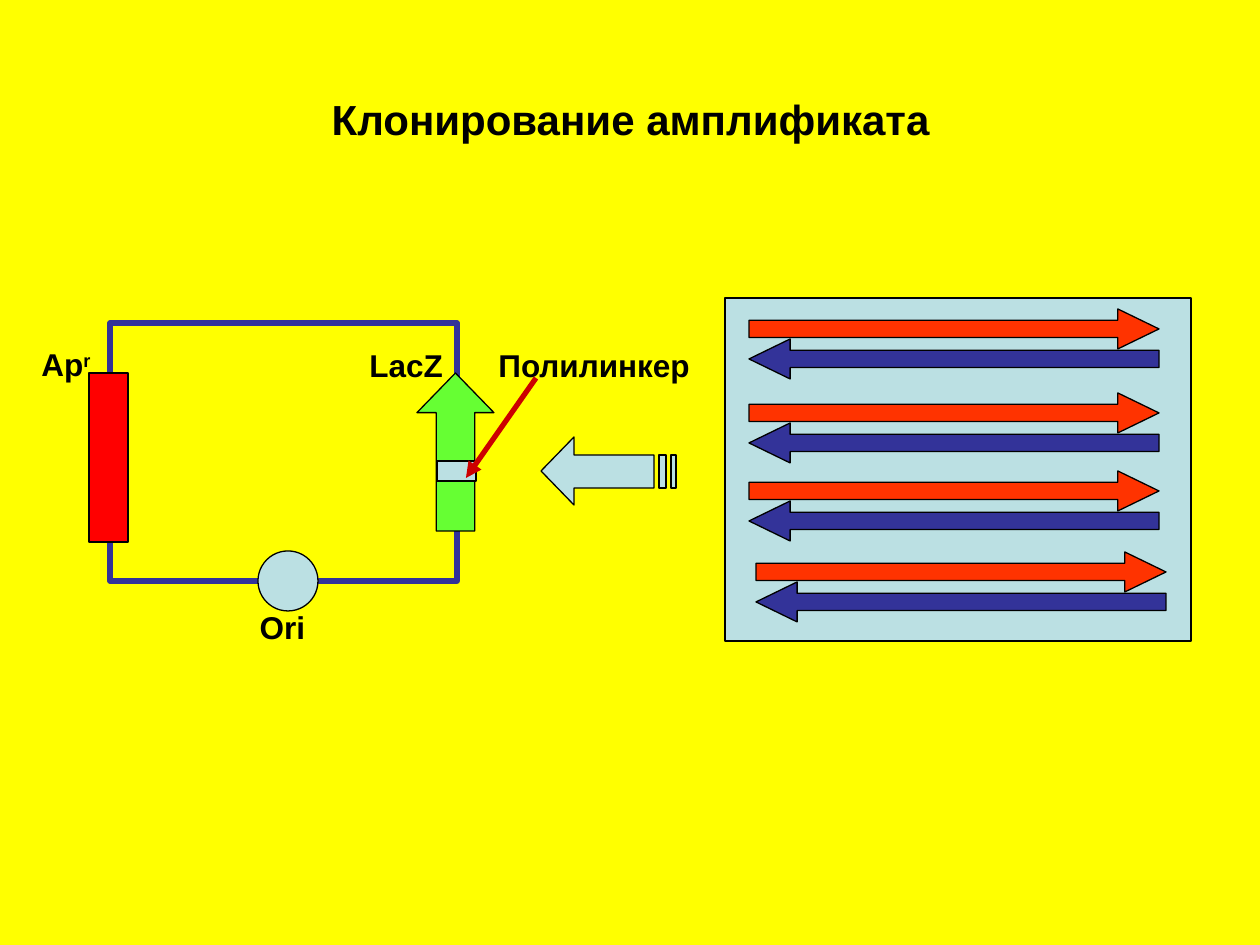
from typing import NamedTuple

from lxml.etree import SubElement
from pptx import Presentation
from pptx.dml.color import RGBColor
from pptx.enum.shapes import MSO_CONNECTOR, MSO_SHAPE as Shape
from pptx.enum.text import PP_ALIGN as Align
from pptx.oxml.ns import qn
from pptx.util import Pt

PX = 914400 / 126

YELLOW = RGBColor(0xFF, 0xFF, 0x00)
BLACK = RGBColor(0x00, 0x00, 0x00)
PALE_BLUE = RGBColor(0xBB, 0xE0, 0xE3)
NAVY = RGBColor(0x33, 0x33, 0x99)
ORANGE = RGBColor(0xFF, 0x33, 0x00)
RED = RGBColor(0xFF, 0x00, 0x00)
GREEN = RGBColor(0x66, 0xFF, 0x33)
DARK_RED = RGBColor(0xCC, 0x00, 0x00)


class Box(NamedTuple):
    x: int
    y: int
    w: int
    h: int


class Block(NamedTuple):
    kind: Shape
    box: Box
    fill: RGBColor | None
    line: RGBColor = BLACK
    line_pt: float = 0.75
    adjustments: tuple[float, ...] = ()


class Label(NamedTuple):
    text: str
    box: Box
    superscript: str = ""
    size: int = 18
    align: Align = Align.LEFT
    wrap: bool = True


def px(*values: int) -> list[int]:
    return [round(v * PX) for v in values]


def style(s, fill: RGBColor | None, line: RGBColor, line_pt: float) -> None:
    s.shadow.inherit = False
    if fill is None:
        s.fill.background()
    else:
        s.fill.solid()
        s.fill.fore_color.rgb = fill
    s.line.color.rgb = line
    s.line.width = Pt(line_pt)


def add_block(slide, block: Block) -> None:
    s = slide.shapes.add_shape(block.kind, *px(*block.box))
    for i, value in enumerate(block.adjustments):
        s.adjustments[i] = value
    style(s, block.fill, block.line, block.line_pt)


def add_label(slide, label: Label) -> None:
    tf = slide.shapes.add_textbox(*px(*label.box)).text_frame
    tf.word_wrap = label.wrap
    p = tf.paragraphs[0]
    p.alignment = label.align
    p.font.name = "Arial"
    p.font.size = Pt(label.size)
    p.font.bold = True
    p.font.color.rgb = BLACK
    p.add_run().text = label.text
    if label.superscript:
        r = p.add_run()
        r.text = label.superscript
        r.font._element.set("baseline", "30000")


def add_pointer(slide, start: tuple[int, int], end: tuple[int, int]) -> None:
    s = slide.shapes.add_connector(MSO_CONNECTOR.STRAIGHT, *px(*start, *end))
    s.line.color.rgb = DARK_RED
    s.line.width = Pt(3)
    SubElement(s.line._get_or_add_ln(), qn("a:tailEnd"), type="triangle")
    SubElement(s._element.spPr, qn("a:effectLst"))


def add_striped_arrow(slide) -> None:
    """Left arrow whose shaft ends in two separate stripes."""
    top, bottom = 455, 488
    head = [(654, top), (574, top), (574, 437), (541, 471),
            (574, 505), (574, bottom), (654, bottom)]
    stripes = [[(right, top), (left, top), (left, bottom), (right, bottom)]
               for left, right in ((671, 676), (659, 666))]
    builder = slide.shapes.build_freeform(*head[0], scale=PX)
    builder.add_line_segments(head[1:], close=True)
    for stripe in stripes:
        builder.move_to(*stripe[0])
        builder.add_line_segments(stripe[1:], close=True)
    style(builder.convert_to_shape(), PALE_BLUE, BLACK, 0.75)


ARROW_W, ARROW_H, STRAND_GAP = 410, 40, 30
ARROW_SHAPE = (0.433, 1.029)
AMPLICONS = [(749, 309), (749, 393), (749, 471), (756, 552)]

PLASMID = [
    Block(Shape.RECTANGLE, Box(110, 323, 347, 258), None, NAVY, 3),
    Block(Shape.OVAL, Box(258, 551, 60, 60), PALE_BLUE),
    Block(Shape.RECTANGLE, Box(89, 373, 39, 169), RED),
    Block(Shape.UP_ARROW, Box(417, 373, 77, 158), GREEN,
          adjustments=(0.5, 0.515)),
    Block(Shape.RECTANGLE, Box(437, 461, 39, 20), PALE_BLUE),
]

LABELS = [
    Label("Ori", Box(238, 602, 89, 50), align=Align.CENTER),
    Label("Ap", Box(29, 339, 89, 50), superscript="r"),
    Label("LacZ", Box(357, 340, 120, 50)),
    Label("Полилинкер", Box(486, 340, 218, 50)),
    Label("Клонирование амплификата", Box(318, 87, 624, 63), size=24,
          align=Align.RIGHT, wrap=False),
]


def main() -> None:
    prs = Presentation()
    prs.slide_width, prs.slide_height = px(1260, 945)
    slide = prs.slides.add_slide(prs.slide_layouts[6])
    slide.background.fill.solid()
    slide.background.fill.fore_color.rgb = YELLOW

    add_block(slide, Block(Shape.RECTANGLE, Box(725, 298, 466, 343), PALE_BLUE))
    for x, y in AMPLICONS:
        for kind, top, fill in ((Shape.LEFT_ARROW, y + STRAND_GAP, NAVY),
                                (Shape.RIGHT_ARROW, y, ORANGE)):
            add_block(slide, Block(kind, Box(x, top, ARROW_W, ARROW_H), fill,
                                   adjustments=ARROW_SHAPE))

    for block in PLASMID:
        add_block(slide, block)
    for label in LABELS:
        add_label(slide, label)
    add_pointer(slide, (536, 378), (466, 478))
    add_striped_arrow(slide)

    prs.save("out.pptx")


if __name__ == "__main__":
    main()
